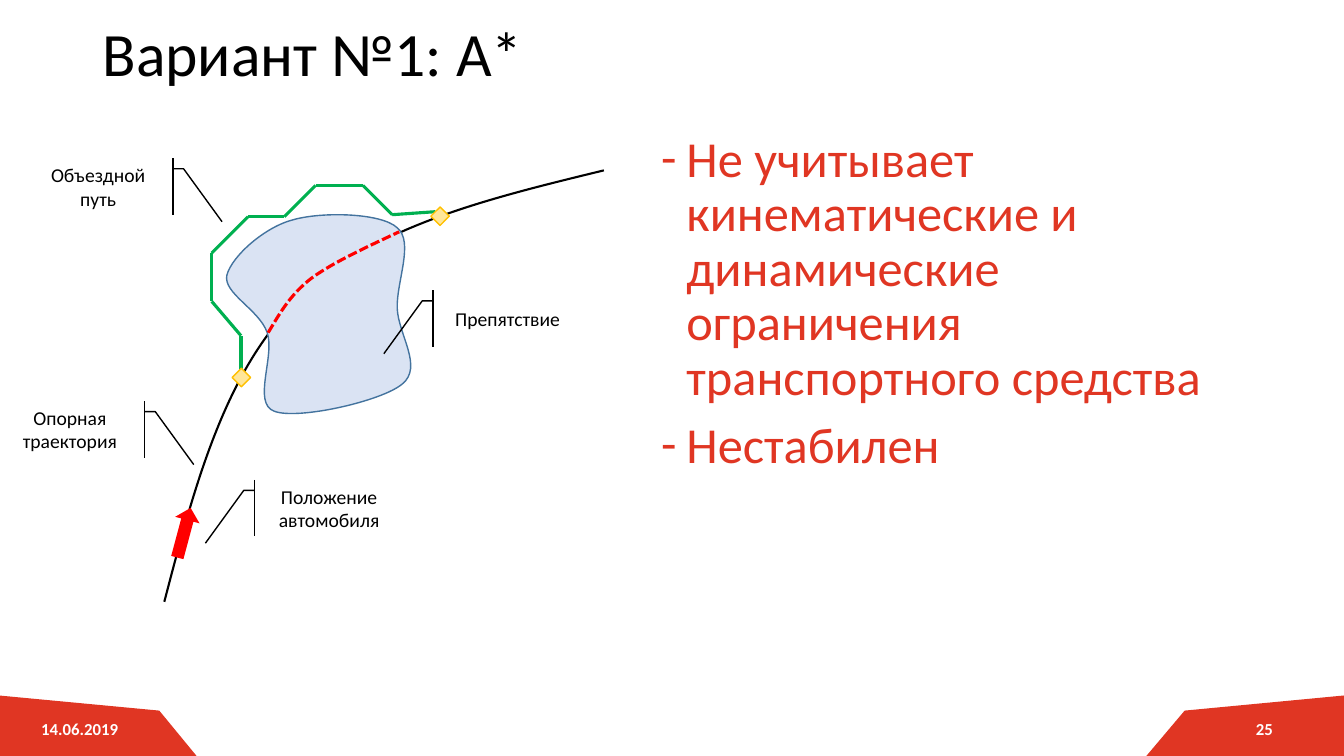
"""Build the slide on route option one, A*."""
from dataclasses import dataclass
from itertools import pairwise

from lxml.etree import SubElement
from pptx import Presentation
from pptx.dml.color import RGBColor
from pptx.enum.dml import MSO_LINE
from pptx.enum.shapes import MSO_CONNECTOR, MSO_SHAPE
from pptx.enum.text import MSO_ANCHOR, PP_ALIGN
from pptx.oxml.ns import qn
from pptx.util import Inches, Pt

Point = tuple[float, float]
Area = tuple[float, float, float, float]
RED = "E03623"
BLACK = "000000"


@dataclass
class Label:
    text: str
    left: float
    top: float
    flip: bool = False


@dataclass
class Curve:
    area: Area
    points: list[Point]
    line: str
    width: float
    fill: str = ""
    closed: bool = False
    dashed: bool = False


@dataclass
class Box:
    lines: list[str]
    area: Area
    size: float
    color: str
    bold: bool = False
    center: bool = False
    anchor: MSO_ANCHOR = MSO_ANCHOR.MIDDLE


CORNERS = [
    [(-0.01, 7.5), (-0.01, 6.9), (1.58, 7.05), (1.95, 7.5)],
    [(13.33, 7.5), (13.33, 6.9), (11.75, 7.05), (11.37, 7.5)],
]
TITLE = Box(["Вариант №1: A*"], (0.92, 0.14, 11.5, 0.84), 44, BLACK)
FOOTERS = [
    Box(["14.06.2019"], (0, 6.95, 1.58, 0.55), 12, "FFFFFF", True, True),
    Box(["25"], (11.75, 6.95, 1.58, 0.55), 12, "FFFFFF", True, True),
]
BODY = Box(
    ["Не учитывает кинематические и динамические ограничения транспортного средства",
     "Нестабилен"],
    (6.46, 1.28, 5.96, 5.36), 36, RED, anchor=MSO_ANCHOR.TOP)
TRACK = Curve((1.63, 1.69, 4.36, 4.28),
              [(1.63, 5.97), (1.93, 4.82), (2.23, 3.68), (2.96, 2.97),
               (3.68, 2.25), (4.84, 1.97), (5.99, 1.69)], BLACK, 1.5)
BLOCK = Curve((2.25, 2.13, 1.82, 1.97),
              [(2.91, 2.18), (2.63, 2.25), (2.3, 2.54), (2.25, 2.73),
               (2.21, 2.91), (2.57, 3.07), (2.65, 3.3),
               (2.73, 3.53), (2.5, 4), (2.72, 4.08),
               (2.95, 4.17), (3.79, 3.98), (3.99, 3.81),
               (4.2, 3.64), (3.95, 3.32), (3.94, 3.06),
               (3.93, 2.8), (4.11, 2.4), (3.94, 2.26),
               (3.78, 2.11), (3.19, 2.1), (2.91, 2.18)],
              "43739E", 1, "DAE3F3", closed=True)
HIDDEN = Curve((2.66, 2.3, 1.31, 1),
               [(2.66, 3.3), (2.77, 3.12), (2.87, 2.93), (3.09, 2.76),
                (3.31, 2.6), (3.64, 2.45), (3.96, 2.3)],
               "FF0000", 2.25, dashed=True)
DETOUR = [(2.39, 3.73), (2.39, 3.33), (2.1, 2.99), (2.1, 2.51), (2.46, 2.15),
          (2.82, 2.15), (3.13, 1.84), (3.6, 1.84), (3.89, 2.13), (4.32, 2.1)]
NODES = [(2.33, 3.68), (4.3, 2.08)]
LABELS = [
    Label("Положение автомобиля", 2.63, 4.76),
    Label("Объездной путь", 0.34, 1.57, True),
    Label("Опорная траектория", 0.06, 3.98, True),
    Label("Препятствие", 4.4, 2.88),
]


def paint(shape, fill: str = "", line: str = "", width: float = 1) -> None:
    shape.shadow.inherit = False
    if fill:
        shape.fill.solid()
        shape.fill.fore_color.rgb = RGBColor.from_string(fill)
    else:
        shape.fill.background()
    if line:
        shape.line.color.rgb = RGBColor.from_string(line)
        shape.line.width = Pt(width)
    else:
        shape.line.fill.background()


def style(para, size: float, color: str, bold: bool = False) -> None:
    for run in para.runs:
        run.font.name = "Calibri"
        run.font.size = Pt(size)
        run.font.bold = bold
        run.font.color.rgb = RGBColor.from_string(color)


def outline(shapes, points: list[Point], closed: bool):
    first, *rest = [(Inches(x), Inches(y)) for x, y in points]
    pen = shapes.build_freeform(*first, scale=1.0)
    pen.add_line_segments(rest, close=closed)
    return pen.convert_to_shape()


def draw_curve(shapes, curve: Curve) -> None:
    shape = outline(shapes, curve.points[::3], curve.closed)
    left, top, width, height = (Inches(v) for v in curve.area)
    shape.left, shape.top, shape.width, shape.height = left, top, width, height
    route = next(shape._element.iter(qn("a:path")))
    route.set("w", str(width))
    route.set("h", str(height))
    groups = [curve.points[:1]]
    groups += [curve.points[i:i + 3] for i in range(1, len(curve.points), 3)]
    for part, knots in zip(list(route), groups):
        if part.tag == qn("a:lnTo"):
            part.tag = qn("a:cubicBezTo")
        for child in list(part):
            part.remove(child)
        for x, y in knots:
            knot = SubElement(part, qn("a:pt"))
            knot.set("x", str(Inches(x) - left))
            knot.set("y", str(Inches(y) - top))
    paint(shape, curve.fill, curve.line, curve.width)
    if curve.dashed:
        shape.line.dash_style = MSO_LINE.SQUARE_DOT


def draw_box(shapes, box: Box):
    frame = shapes.add_textbox(*(Inches(v) for v in box.area)).text_frame
    frame.word_wrap = True
    frame.vertical_anchor = box.anchor
    frame.text = "\n".join(box.lines)
    for para in frame.paragraphs:
        para.alignment = PP_ALIGN.CENTER if box.center else PP_ALIGN.LEFT
        style(para, box.size, box.color, box.bold)
    return frame


def draw_list(shapes, box: Box) -> None:
    for place, para in enumerate(draw_box(shapes, box).paragraphs):
        props = para._p.get_or_add_pPr()
        props.set("marL", str(Inches(0.25)))
        props.set("indent", str(-Inches(0.25)))
        SubElement(props, qn("a:buFont")).set("typeface", "Calibri")
        SubElement(props, qn("a:buChar")).set("char", "-")
        para.line_spacing = 0.9
        para.space_before = Pt(10 if place else 0)


def draw_label(shapes, label: Label) -> None:
    shape = shapes.add_shape(
        MSO_SHAPE.LINE_CALLOUT_2_ACCENT_BAR, Inches(label.left),
        Inches(label.top), Inches(1.27), Inches(0.56))
    paint(shape, line=BLACK)
    if label.flip:
        shape._element.spPr.find(qn("a:xfrm")).set("flipH", "1")
    frame = shape.text_frame
    frame.word_wrap = True
    frame.vertical_anchor = MSO_ANCHOR.MIDDLE
    frame.text = label.text
    frame.paragraphs[0].alignment = PP_ALIGN.CENTER
    style(frame.paragraphs[0], 14, BLACK)


def draw_route(shapes) -> None:
    for start, end in pairwise(DETOUR):
        ends = (Inches(v) for v in start + end)
        link = shapes.add_connector(MSO_CONNECTOR.STRAIGHT, *ends)
        link.line.color.rgb = RGBColor.from_string("00B050")
        link.line.width = Pt(2.25)
        SubElement(link._element.spPr, qn("a:effectLst"))
    for left, top in NODES:
        node = shapes.add_shape(MSO_SHAPE.RECTANGLE, Inches(left), Inches(top),
                                Inches(0.13), Inches(0.13))
        node.rotation = 315
        paint(node, "FFE699", "FFC000")


def main() -> None:
    deck = Presentation()
    deck.slide_width, deck.slide_height = Inches(13.33), Inches(7.5)
    shapes = deck.slides.add_slide(deck.slide_layouts[6]).shapes
    for corner in CORNERS:
        paint(outline(shapes, corner, True), RED)
    draw_box(shapes, TITLE).paragraphs[0].line_spacing = 0.9
    for footer in FOOTERS:
        draw_box(shapes, footer)
    draw_curve(shapes, TRACK)
    car = shapes.add_shape(MSO_SHAPE.RIGHT_ARROW, Inches(1.57), Inches(5.16),
                           Inches(0.51), Inches(0.25))
    car.rotation = 285
    paint(car, "FF0000")
    draw_curve(shapes, BLOCK)
    draw_curve(shapes, HIDDEN)
    draw_route(shapes)
    for label in LABELS:
        draw_label(shapes, label)
    draw_list(shapes, BODY)
    deck.save("out.pptx")


if __name__ == "__main__":
    main()
